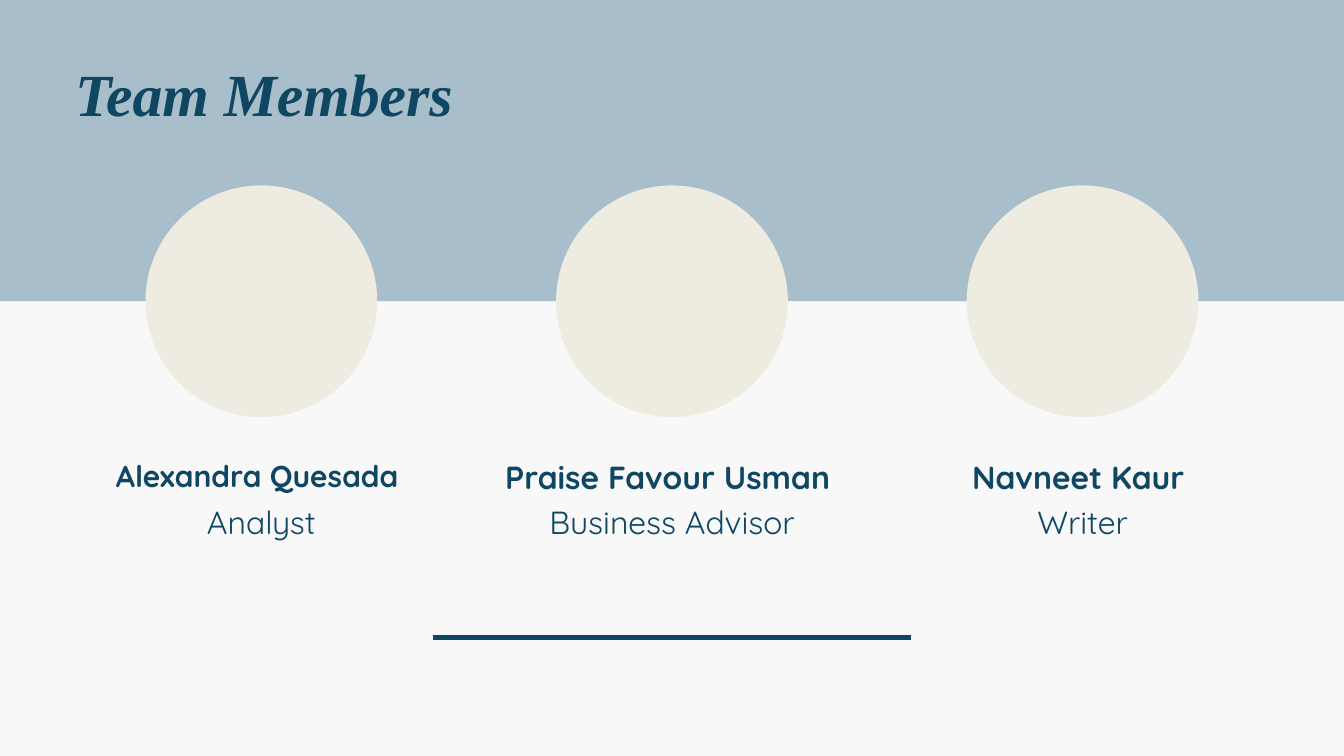
from dataclasses import dataclass

from lxml import etree
from pptx import Presentation
from pptx.dml.color import RGBColor
from pptx.enum.shapes import MSO_CONNECTOR as Connector, MSO_SHAPE as Shape
from pptx.enum.text import MSO_AUTO_SIZE as AutoSize, PP_ALIGN as Align
from pptx.oxml.ns import qn
from pptx.util import Cm, Pt


@dataclass(frozen=True)
class Theme:
    paper: RGBColor = RGBColor.from_string("F8F8F8")
    band: RGBColor = RGBColor.from_string("A9BECB")
    disc: RGBColor = RGBColor.from_string("EEECE1")
    ink: RGBColor = RGBColor.from_string("0F4662")
    title_font: str = "Times New Roman"
    body_font: str = "Quicksand"
    title_size: float = 64
    body_size: float = 34.2
    long_name_size: float = 32.2
    line_ratio: float = 1.4
    rule_width: float = 6


THEME = Theme()

# Layout in centimetres
PAGE_WIDTH, PAGE_HEIGHT = 50.8, 28.58
BAND_HEIGHT = 11.39
DISC_SIZE = 8.76
COLUMN_WIDTH, COLUMN_PITCH = 13.94, 15.52
NAME_TOP, ROLE_TOP = 17.06, 18.77
RULE_Y, RULE_LENGTH = 24.1, 18.04

# Name, role, size of the name; the trailing space shifts the centred name
MEMBERS = [
    ("Alexandra Quesada ", "Analyst", THEME.long_name_size),
    ("Praise Favour Usman ", "Business Advisor", THEME.body_size),
    ("Navneet Kaur ", "Writer", THEME.body_size),
]


def add_filled(page, kind, left, top, width, height, color):
    shape = page.shapes.add_shape(kind, Cm(left), Cm(top), Cm(width), Cm(height))
    shape.shadow.inherit = False
    shape.fill.solid()
    shape.fill.fore_color.rgb = color
    shape.line.fill.background()


def add_text(page, text, left, top, width, size, align=Align.CENTER, **font_format):
    line_height = Pt(size * THEME.line_ratio)
    box = page.shapes.add_textbox(Cm(left), Cm(top), Cm(width), line_height)
    frame = box.text_frame
    frame_format = {
        "word_wrap": True, "auto_size": AutoSize.SHAPE_TO_FIT_TEXT,
        "margin_left": 0, "margin_right": 0, "margin_top": 0, "margin_bottom": 0,
    }
    for name, value in frame_format.items():
        setattr(frame, name, value)

    para = frame.paragraphs[0]
    para.alignment = align
    para.line_spacing = line_height
    span = para.add_run()
    span.text = text
    for name, value in {"name": THEME.body_font, "size": Pt(size), **font_format}.items():
        setattr(span.font, name, value)
    span.font.color.rgb = THEME.ink


def add_rule(page, left, y, length):
    rule = page.shapes.add_connector(
        Connector.STRAIGHT, Cm(left), Cm(y), Cm(left + length), Cm(y))
    rule.line.color.rgb = THEME.ink
    rule.line.width = Pt(THEME.rule_width)
    etree.SubElement(rule.element.spPr, qn("a:effectLst"))


def add_member(page, center, name, role, name_size):
    add_filled(page, Shape.OVAL, center - DISC_SIZE / 2, BAND_HEIGHT - DISC_SIZE / 2,
               DISC_SIZE, DISC_SIZE, THEME.disc)
    left = center - COLUMN_WIDTH / 2
    add_text(page, name, left, NAME_TOP, COLUMN_WIDTH, name_size, bold=True)
    add_text(page, role, left, ROLE_TOP, COLUMN_WIDTH, THEME.body_size)


def main():
    deck = Presentation()
    deck.slide_width, deck.slide_height = Cm(PAGE_WIDTH), Cm(PAGE_HEIGHT)
    page = deck.slides.add_slide(deck.slide_layouts[6])
    page.background.fill.solid()
    page.background.fill.fore_color.rgb = THEME.paper

    # Header band and title
    add_filled(page, Shape.RECTANGLE, 0, 0, PAGE_WIDTH, BAND_HEIGHT, THEME.band)
    add_text(page, "Team Members", 2.84, 1.68, 27.53, THEME.title_size, Align.LEFT,
             name=THEME.title_font, bold=True, italic=True)

    # Members, spread evenly about the middle of the page
    for index, member in enumerate(MEMBERS):
        offset = index - (len(MEMBERS) - 1) / 2
        add_member(page, PAGE_WIDTH / 2 + offset * COLUMN_PITCH, *member)

    # Closing rule
    add_rule(page, (PAGE_WIDTH - RULE_LENGTH) / 2, RULE_Y, RULE_LENGTH)

    deck.save("out.pptx")


if __name__ == "__main__":
    main()
